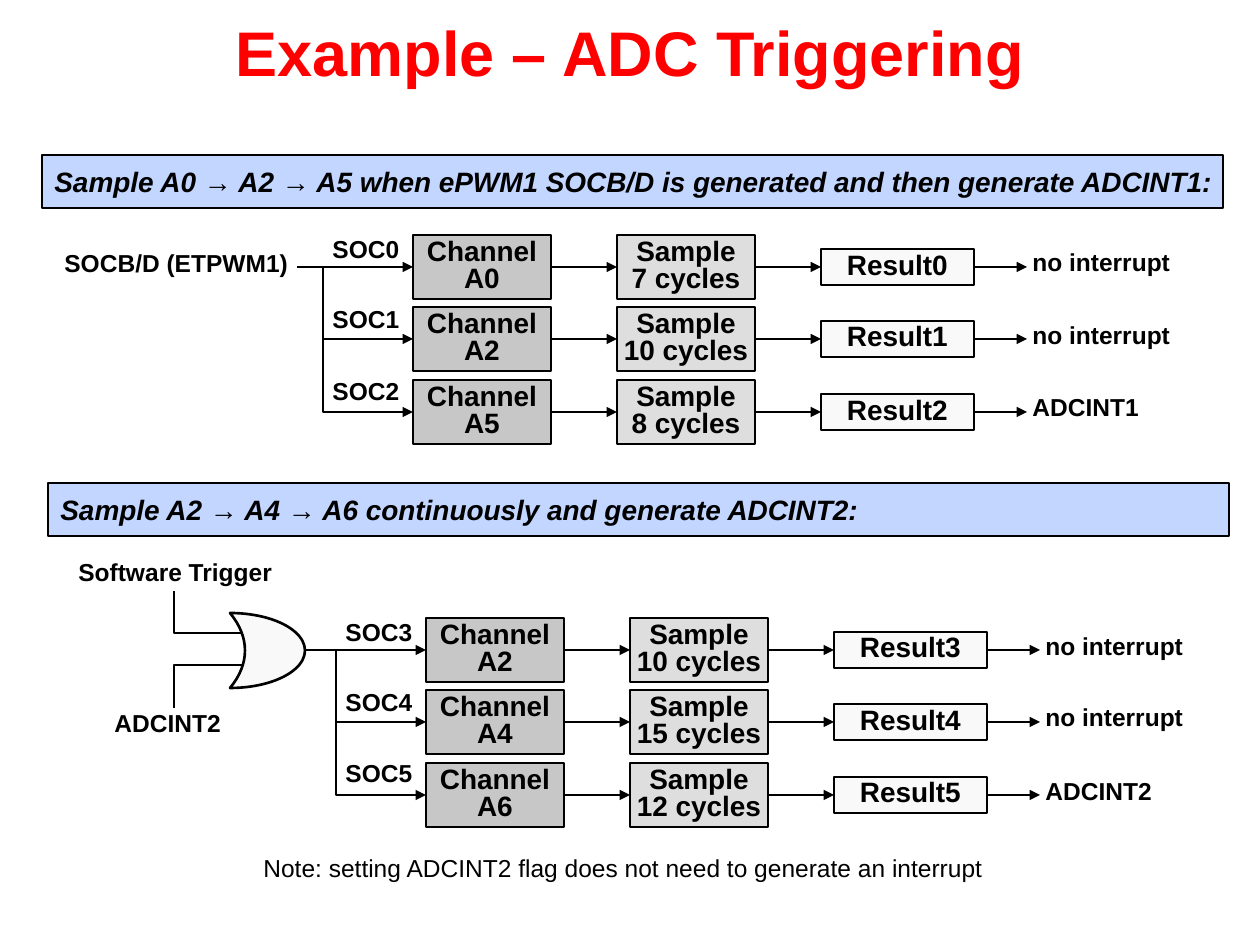
"""Build the ADC triggering example slide."""
from pptx import Presentation
from pptx import util as u
from pptx.dml.color import RGBColor
from pptx.enum import shapes, text
from pptx.oxml import ns, xmlchemy

SCALE = u.Inches(1) / 126
RED = RGBColor(0xFF, 0x00, 0x00)
BLACK = RGBColor(0x00, 0x00, 0x00)
BANNER_BLUE = RGBColor(0xC2, 0xD6, 0xFF)
CHANNEL_GRAY = RGBColor(0xC7, 0xC7, 0xC7)
SAMPLE_GRAY = RGBColor(0xDE, 0xDE, 0xDE)
RESULT_GRAY = RGBColor(0xF9, 0xF9, 0xF9)
BOX_H = 64
LABEL_H = 37

PWM_ROWS = [
    ("SOC0", "A0", "7 cycles", "Result0", "no interrupt", 164),
    ("SOC1", "A2", "10 cycles", "Result1", "no interrupt", 164),
    ("SOC2", "A5", "8 cycles", "Result2", "ADCINT1", 132),
]
LOOP_ROWS = [
    ("SOC3", "A2", "10 cycles", "Result3", "no interrupt", 164),
    ("SOC4", "A4", "15 cycles", "Result4", "no interrupt", 164),
    ("SOC5", "A6", "12 cycles", "Result5", "ADCINT2", 132),
]


def px(*lengths):
    """Turn pixel lengths into EMU."""
    return [u.Emu(round(n * SCALE)) for n in lengths]


def set_font(p, size, color=BLACK, bold=True, italic=False):
    """Format a paragraph in Arial."""
    p.font.name = "Arial"
    p.font.size = u.Pt(size)
    p.font.bold = bold
    p.font.italic = italic
    p.font.color.rgb = color


def set_line(sp, width=1, arrow=False):
    """Give a shape or connector a black line, optionally with an arrowhead."""
    sp.line.color.rgb = BLACK
    sp.line.width = u.Pt(width)
    if arrow:
        ln = sp._element.spPr.find(ns.qn("a:ln"))
        tail = xmlchemy.OxmlElement("a:tailEnd")
        tail.set("type", "triangle")
        ln.append(tail)


def add_preset(slide, kind, x, y, w, h, fill, line=1):
    """Add a filled and outlined preset shape."""
    sp = slide.shapes.add_shape(kind, *px(x, y, w, h))
    sp.shadow.inherit = False
    sp.fill.solid()
    sp.fill.fore_color.rgb = fill
    set_line(sp, line)
    return sp


def add_box(slide, lines, x, y, w, h, fill):
    """Add a box with tight centred bold lines."""
    sp = add_preset(slide, shapes.MSO_SHAPE.RECTANGLE, x, y, w, h, fill)
    tf = sp.text_frame
    tf.margin_left = tf.margin_right = tf.margin_top = tf.margin_bottom = 0
    tf.vertical_anchor = text.MSO_ANCHOR.MIDDLE
    tf.text = "\n".join(lines)
    for p in tf.paragraphs:
        p.alignment = text.PP_ALIGN.CENTER
        p.line_spacing = 0.8
        set_font(p, 16)
    return sp


def add_banner(slide, words, x, y):
    """Add a blue heading bar."""
    sp = add_preset(slide, shapes.MSO_SHAPE.RECTANGLE, x, y, 1181, 53, BANNER_BLUE)
    tf = sp.text_frame
    tf.margin_right = 0
    tf.vertical_anchor = text.MSO_ANCHOR.MIDDLE
    p = tf.paragraphs[0]
    p.text = words
    p.alignment = text.PP_ALIGN.LEFT
    set_font(p, 16, italic=True)


def add_label(slide, words, x, y, w, bold=True):
    """Add a one-line label."""
    tf = slide.shapes.add_textbox(*px(x, y, w, LABEL_H)).text_frame
    tf.word_wrap = False
    tf.auto_size = text.MSO_AUTO_SIZE.SHAPE_TO_FIT_TEXT
    p = tf.paragraphs[0]
    p.text = words
    p.line_spacing = 0.8
    set_font(p, 14, bold=bold)


def add_arrow(slide, x1, x2, y, begin=None, end=None):
    """Add a horizontal arrow, joined to the boxes it touches."""
    cn = slide.shapes.add_connector(shapes.MSO_CONNECTOR.STRAIGHT, *px(x1, y, x2, y))
    if begin is not None:
        cn.begin_connect(begin, 3)
    if end is not None:
        cn.end_connect(end, 1)
    set_line(cn, arrow=True)
    cn._element.spPr.append(xmlchemy.OxmlElement("a:effectLst"))


def add_polyline(slide, points, arrow=False):
    """Add an open bent line through the points."""
    fb = slide.shapes.build_freeform(*points[0], scale=SCALE)
    fb.add_line_segments(points[1:], close=False)
    sp = fb.convert_to_shape()
    sp.shadow.inherit = False
    sp.fill.background()
    set_line(sp, arrow=arrow)


def add_sequence(slide, rows, left, top, source_x):
    """Add three conversion rows fed by one trigger bus."""
    bus_x = left - 90
    sample_x, result_x, output_x = left + 204, left + 408, left + 614
    for i, (soc, channel, cycles, result, output, output_w) in enumerate(rows):
        y = top + 145 * i // 2
        mid = y + BOX_H // 2
        channel_box = add_box(slide, ["Channel", channel], left, y, 138, BOX_H, CHANNEL_GRAY)
        sample_box = add_box(slide, ["Sample", cycles], sample_x, y, 138, BOX_H, SAMPLE_GRAY)
        result_box = add_box(slide, [result], result_x, mid - 18, 153, 36, RESULT_GRAY)
        add_arrow(slide, left + 138, sample_x, mid, channel_box, sample_box)
        add_arrow(slide, sample_x + 138, result_x, mid, sample_box, result_box)
        add_arrow(slide, result_x + 153, output_x, mid, result_box)
        if i < 2:
            add_arrow(slide, bus_x if i else source_x, left, mid, end=channel_box)
        else:
            bus_top = top + BOX_H // 2
            add_polyline(slide, [(bus_x, bus_top), (bus_x, mid), (left, mid)], arrow=True)
        add_label(slide, soc, left - 93, top - 2 + 71 * i, 93)
        add_label(slide, output, left + 607, y + 12, output_w)


def add_or_gate(slide):
    """Add the OR gate with its two labelled inputs."""
    gate = add_preset(slide, shapes.MSO_SHAPE.MOON, 230, 613, 75, 75, RESULT_GRAY, 1.5)
    gate.adjustments[0] = 0.8
    gate.rotation = 180
    for y, end_y in ((633, 591), (665, 708)):
        add_polyline(slide, [(243, y), (174, y), (174, end_y)])
    add_label(slide, "Software Trigger", 66, 557, 221)
    add_label(slide, "ADCINT2", 102, 708, 132)


def add_title(slide, words):
    """Fill and place the title placeholder."""
    title = slide.shapes.title
    title.left, title.top, title.width, title.height = px(0, 0, 1260, 102)
    tf = title.text_frame
    tf.vertical_anchor = text.MSO_ANCHOR.MIDDLE
    p = tf.paragraphs[0]
    p.text = words
    p.alignment = text.PP_ALIGN.CENTER
    set_font(p, 36, RED)


def main():
    """Build and save the slide."""
    prs = Presentation()
    prs.slide_width, prs.slide_height = px(1260, 945)
    slide = prs.slides.add_slide(prs.slide_layouts[5])
    add_title(slide, "Example – ADC Triggering")
    add_banner(slide, "Sample A0 → A2 → A5 when ePWM1 SOCB/D is generated "
                      "and then generate ADCINT1:", 42, 155)
    add_sequence(slide, PWM_ROWS, 413, 235, 297)
    add_label(slide, "SOCB/D (ETPWM1)", 52, 248, 251)
    add_banner(slide, "Sample A2 → A4 → A6 continuously and generate ADCINT2:", 48, 483)
    add_sequence(slide, LOOP_ROWS, 426, 618, 302)
    add_or_gate(slide)
    add_label(slide, "Note: setting ADCINT2 flag does not need to generate an interrupt",
              251, 853, 755, bold=False)
    prs.save("out.pptx")


if __name__ == "__main__":
    main()
